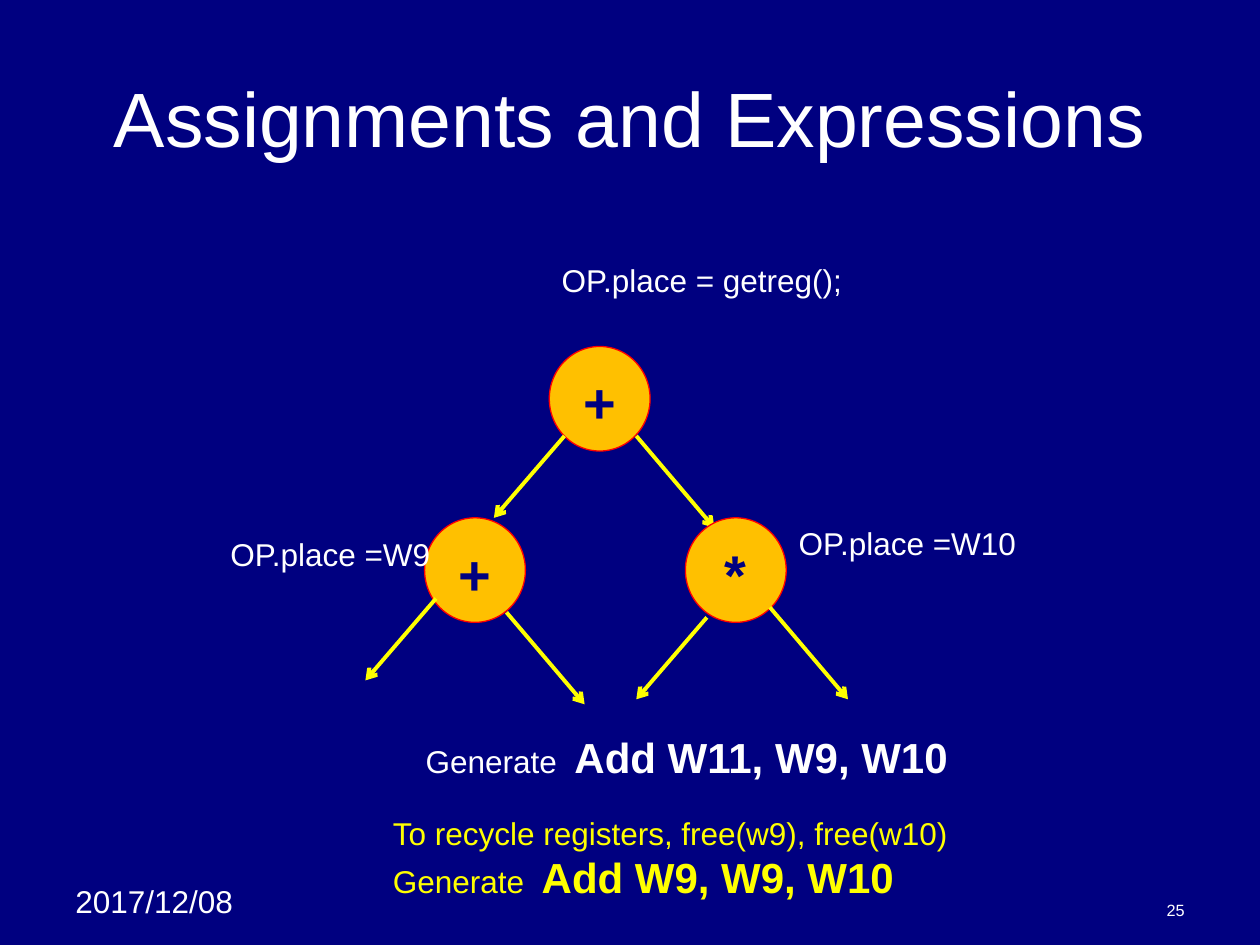
from dataclasses import dataclass

from lxml import etree
from pptx import Presentation
from pptx.dml.color import RGBColor
from pptx.enum.shapes import MSO_CONNECTOR, MSO_SHAPE
from pptx.enum.text import MSO_ANCHOR, MSO_AUTO_SIZE, PP_ALIGN
from pptx.oxml.ns import qn
from pptx.util import Inches, Pt

OVAL = MSO_SHAPE.OVAL
STRAIGHT = MSO_CONNECTOR.STRAIGHT
TOP, MIDDLE, BOTTOM = MSO_ANCHOR.TOP, MSO_ANCHOR.MIDDLE, MSO_ANCHOR.BOTTOM
LEFT, CENTER, RIGHT = PP_ALIGN.LEFT, PP_ALIGN.CENTER, PP_ALIGN.RIGHT
FIT_SHAPE = MSO_AUTO_SIZE.SHAPE_TO_FIT_TEXT
FIXED = MSO_AUTO_SIZE.NONE


@dataclass(frozen=True)
class Theme:
    font: str = "Arial"
    navy: RGBColor = RGBColor(0x00, 0x00, 0x80)
    white: RGBColor = RGBColor(0xFF, 0xFF, 0xFF)
    yellow: RGBColor = RGBColor(0xFF, 0xFF, 0x00)
    amber: RGBColor = RGBColor(0xFF, 0xC0, 0x00)
    red: RGBColor = RGBColor(0xFF, 0x00, 0x00)
    title: float = 44
    operator: float = 32
    code: float = 24
    body: float = 18
    number: float = 9.3
    node_line: float = 0.75
    edge_line: float = 2.25
    node_width: float = 0.8
    node_height: float = 0.83


THEME = Theme()


@dataclass(frozen=True)
class Span:
    text: str
    size: float = THEME.body
    bold: bool = False


@dataclass(frozen=True)
class Node:
    operator: str
    left: float
    top: float


@dataclass(frozen=True)
class Edge:
    left: float
    top: float
    width: float
    height: float


@dataclass(frozen=True)
class Label:
    lines: list[list[Span]]
    place: tuple[float, float, float, float]
    color: RGBColor = THEME.white
    align: PP_ALIGN = LEFT
    anchor: MSO_ANCHOR = TOP
    wrap: bool = False
    auto_size: MSO_AUTO_SIZE = FIT_SHAPE


def write_text(frame, lines: list[list[Span]], *, color: RGBColor,
               align: PP_ALIGN = LEFT, anchor: MSO_ANCHOR = TOP,
               wrap: bool = True, auto_size: MSO_AUTO_SIZE = FIXED) -> None:
    frame.word_wrap = wrap
    frame.auto_size = auto_size
    frame.vertical_anchor = anchor
    for index, spans in enumerate(lines):
        para = frame.add_paragraph() if index else frame.paragraphs[0]
        para.alignment = align
        for span in spans:
            run = para.add_run()
            run.text = span.text
            run.font.name = THEME.font
            run.font.size = Pt(span.size)
            run.font.bold = span.bold
            run.font.color.rgb = color


def draw_label(page, label: Label) -> None:
    box = page.shapes.add_textbox(*map(Inches, label.place))
    write_text(box.text_frame, label.lines, color=label.color, align=label.align,
               anchor=label.anchor, wrap=label.wrap, auto_size=label.auto_size)


def draw_node(page, node: Node) -> None:
    circle = page.shapes.add_shape(
        OVAL, Inches(node.left), Inches(node.top),
        Inches(THEME.node_width), Inches(THEME.node_height))
    circle.shadow.inherit = False
    circle.fill.solid()
    circle.fill.fore_color.rgb = THEME.amber
    circle.line.color.rgb = THEME.red
    circle.line.width = Pt(THEME.node_line)
    write_text(circle.text_frame, [[Span(node.operator, THEME.operator, True)]],
               color=THEME.navy, align=CENTER)


def draw_edge(page, edge: Edge) -> None:
    arrow = page.shapes.add_connector(
        STRAIGHT, Inches(edge.left), Inches(edge.top),
        Inches(edge.left + edge.width), Inches(edge.top + edge.height))
    arrow.line.color.rgb = THEME.yellow
    arrow.line.width = Pt(THEME.edge_line)
    etree.SubElement(arrow.line._get_or_add_ln(), qn("a:tailEnd"), type="arrow")
    etree.SubElement(arrow._element.spPr, qn("a:effectLst"))


def left_edge(left: float, top: float) -> Edge:
    return Edge(left, top, -0.56, 0.65)


def right_edge(left: float, top: float) -> Edge:
    return Edge(left, top, 0.62, 0.73)


ROOT = Node("+", 4.36, 2.75)
CHILDREN = [Node("+", 3.37, 4.11), Node("*", 5.44, 4.11)]
ROOT_EDGES = [left_edge(4.48, 3.46), right_edge(5.05, 3.46)]
CHILD_EDGES = [left_edge(3.46, 4.75), left_edge(5.61, 4.9),
               right_edge(4.02, 4.86), right_edge(6.11, 4.82)]

FRAME_LABELS = [
    Label([[Span("2017/12/08")]], (0.5, 6.95, 1.58, 0.7), wrap=True),
    Label([[Span("25", THEME.number)]], (7.17, 7.08, 2.33, 0.27),
          align=RIGHT, anchor=BOTTOM, wrap=True, auto_size=FIXED),
    Label([[Span("Assignments and Expressions", THEME.title)]],
          (0.5, 0.3, 9, 1.25), align=CENTER, anchor=MIDDLE, wrap=True,
          auto_size=FIXED),
]
TREE_LABELS = [
    Label([[Span("OP.place =W9")]], (1.73, 4.2, 1.82, 0.4)),
    Label([[Span("OP.place =W10")]], (6.24, 4.11, 1.96, 0.4)),
    Label([[Span("Generate  "), Span("Add W11, W9, W10", THEME.code, True)]],
          (3.28, 5.76, 4.36, 0.5)),
    Label([[Span("To recycle registers, free(w9), free(w10)")],
           [Span("Generate  "), Span("Add W9, W9, W10", THEME.code, True)]],
          (3.02, 6.41, 4.63, 0.8), color=THEME.yellow),
    Label([[Span("OP.place = getreg();")]], (4.36, 2.02, 2.46, 0.4)),
]


def main() -> None:
    deck = Presentation()
    deck.slide_width, deck.slide_height = Inches(10), Inches(7.5)
    page = deck.slides.add_slide(deck.slide_layouts[6])
    page.background.fill.solid()
    page.background.fill.fore_color.rgb = THEME.navy

    for label in FRAME_LABELS:
        draw_label(page, label)
    draw_node(page, ROOT)
    for edge in ROOT_EDGES:
        draw_edge(page, edge)
    for node in CHILDREN:
        draw_node(page, node)
    for edge in CHILD_EDGES:
        draw_edge(page, edge)
    for label in TREE_LABELS:
        draw_label(page, label)

    deck.save("out.pptx")


if __name__ == "__main__":
    main()
